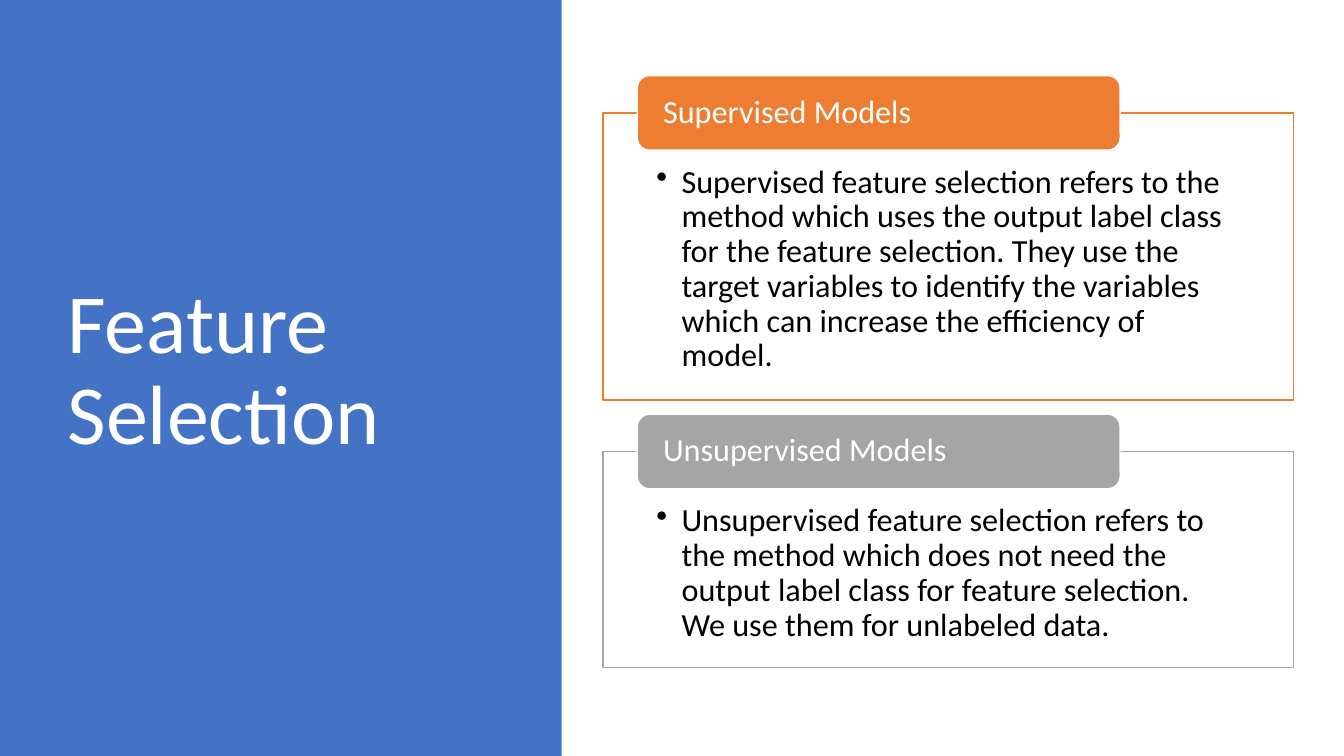
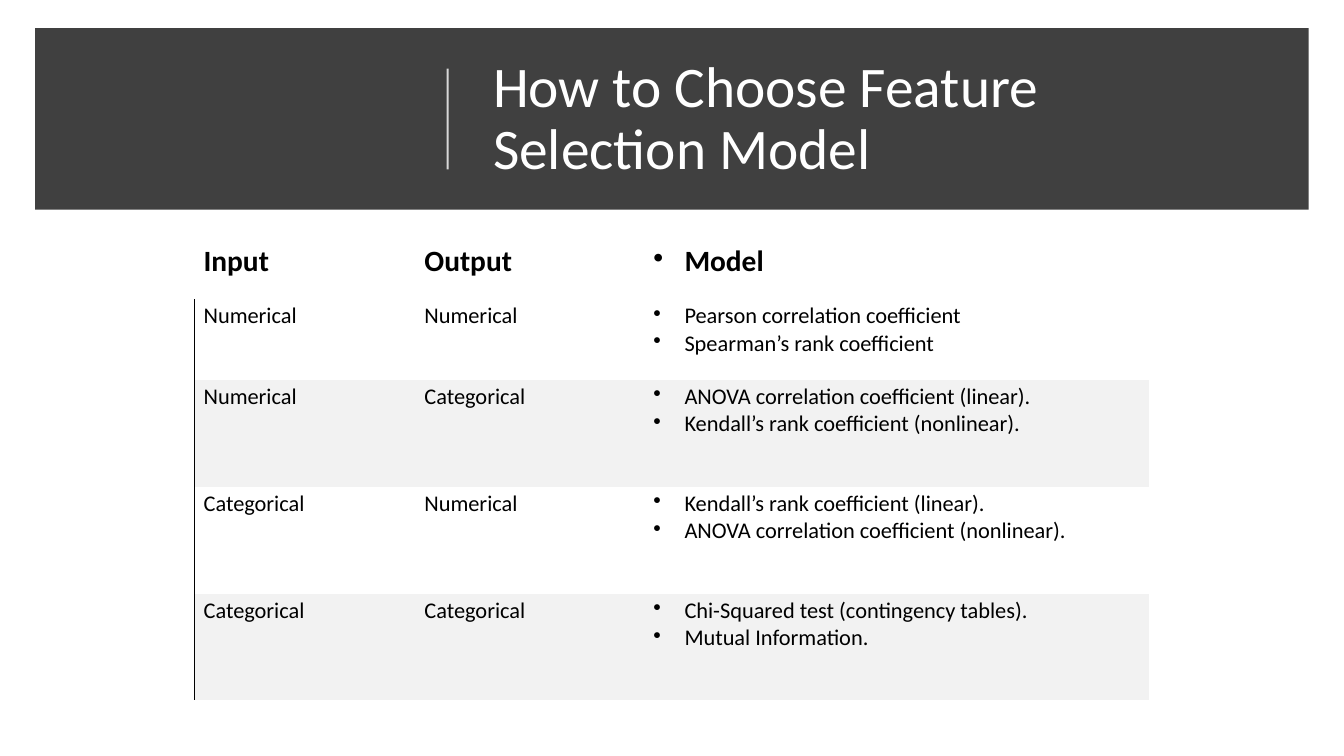
from lxml import etree
from pptx import Presentation
from pptx.dml.color import RGBColor
from pptx.enum.shapes import MSO_CONNECTOR, MSO_SHAPE
from pptx.enum.text import MSO_ANCHOR, MSO_AUTO_SIZE, PP_ALIGN
from pptx.oxml.ns import qn
from pptx.util import Inches, Pt

RECTANGLE, ROUNDED = MSO_SHAPE.RECTANGLE, MSO_SHAPE.ROUNDED_RECTANGLE
STRAIGHT = MSO_CONNECTOR.STRAIGHT
TOP, MIDDLE, BOTTOM = MSO_ANCHOR.TOP, MSO_ANCHOR.MIDDLE, MSO_ANCHOR.BOTTOM
LEFT, NO_AUTOFIT = PP_ALIGN.LEFT, MSO_AUTO_SIZE.NONE

FONT = "Calibri"
TITLE_ONLY = 5
NO_STYLE_TABLE = "{2D5ABB26-0587-4C30-8999-92F81FD0307C}"
WHITE = RGBColor(0xFF, 0xFF, 0xFF)
BLACK = RGBColor(0, 0, 0)
BLUE = RGBColor(0x44, 0x72, 0xC4)
ORANGE = RGBColor(0xED, 0x7D, 0x31)
GREY = RGBColor(0xA5, 0xA5, 0xA5)
CHARCOAL = RGBColor(0x40, 0x40, 0x40)
STRIPE = RGBColor(0xF2, 0xF2, 0xF2)

MODELS = [
    ("Supervised Models", ORANGE, 1.12, 2.85,
     "Supervised feature selection refers to the method which uses the output "
     "label class for the feature selection. They use the target variables to "
     "identify the variables which can increase the efficiency of model."),
    ("Unsupervised Models", GREY, 4.48, 2.14,
     "Unsupervised feature selection refers to the method which does not need "
     "the output label class for feature selection. We use them for unlabeled data."),
]
CHOICES = [
    ("Input", "Output", "Model"),
    ("Numerical", "Numerical",
     "Pearson correlation coefficient\nSpearman’s rank coefficient"),
    ("Numerical", "Categorical",
     "ANOVA correlation coefficient (linear).\nKendall’s rank coefficient (nonlinear)."),
    ("Categorical", "Numerical",
     "Kendall’s rank coefficient (linear).\nANOVA correlation coefficient (nonlinear)."),
    ("Categorical", "Categorical",
     "Chi-Squared test (contingency tables).\nMutual Information."),
]
COLUMN_WIDTHS = (2.19, 2.27, 5.01)
ROW_HEIGHTS = (0.62, 0.8, 1.06, 1.06, 1.06)


class Deck:
    """Holds the presentation style and the slide being built."""

    def __init__(self):
        self.presentation = Presentation()
        self.presentation.slide_width = Inches(13.33)
        self.presentation.slide_height = Inches(7.5)
        self.slide = None

    def new_slide(self, title, title_box, size, band_box, band_color):
        layout = self.presentation.slide_layouts[TITLE_ONLY]
        self.slide = self.presentation.slides.add_slide(layout)
        heading = self.slide.shapes.title
        heading.left, heading.top, heading.width, heading.height = map(Inches, title_box)
        heading.text_frame.auto_size = NO_AUTOFIT
        self.set_text(heading.text_frame, title, size, WHITE, anchor=MIDDLE)
        band = self.box(RECTANGLE, band_box, band_color)
        heading.element.addprevious(band.element)

    def set_text(self, frame, text, size, color, anchor=TOP, bold=False,
                 spacing=0.9, bullet_indent=0):
        frame.word_wrap = True
        frame.vertical_anchor = anchor
        frame.text = text
        for paragraph in frame.paragraphs:
            paragraph.alignment = LEFT
            paragraph.line_spacing = spacing
            font = paragraph.font
            font.name, font.size, font.bold = FONT, Pt(size), bold
            font.color.rgb = color
            if bullet_indent:
                self.bullet(paragraph, bullet_indent)

    def bullet(self, paragraph, indent):
        properties = paragraph._p.get_or_add_pPr()
        properties.set("marL", str(Inches(indent)))
        properties.set("indent", str(-Inches(indent)))
        mark = etree.Element(qn("a:buChar"), char="•")
        properties.find(qn("a:defRPr")).addprevious(mark)

    def box(self, kind, place, fill, line=None):
        shape = self.slide.shapes.add_shape(kind, *map(Inches, place))
        shape.shadow.inherit = False
        shape.fill.solid()
        shape.fill.fore_color.rgb = fill
        if line is None:
            shape.line.fill.background()
        else:
            shape.line.color.rgb = line
            shape.line.width = Pt(1)
        return shape

    def inset(self, holder, left, top, right, bottom):
        holder.margin_left, holder.margin_top = Inches(left), Inches(top)
        holder.margin_right, holder.margin_bottom = Inches(right), Inches(bottom)

    def model_panel(self, label, color, top, height, description):
        panel = self.box(RECTANGLE, (5.98, top, 6.85, height), WHITE, color)
        self.inset(panel.text_frame, 0.53, 0.52, 0.53, 0.18)
        self.set_text(panel.text_frame, description, 23, BLACK, bullet_indent=0.25)
        tab = self.box(ROUNDED, (6.32, top - 0.37, 4.79, 0.74), color, WHITE)
        self.inset(tab.text_frame, 0.22, 0, 0.22, 0)
        self.set_text(tab.text_frame, label, 23, WHITE, anchor=MIDDLE)

    def divider(self, x, top, bottom):
        rule = self.slide.shapes.add_connector(
            STRAIGHT, Inches(x), Inches(bottom), Inches(x), Inches(top))
        rule.line.color.rgb = WHITE
        rule.line.width = Pt(1.5)
        color = rule.element.find(".//" + qn("a:srgbClr"))
        etree.SubElement(color, qn("a:alpha"), val="80000")
        etree.SubElement(rule.element.spPr, qn("a:effectLst"))

    def left_border(self, cell):
        border = etree.Element(qn("a:lnL"), w=str(Pt(0.75)))
        fill = etree.SubElement(border, qn("a:solidFill"))
        etree.SubElement(fill, qn("a:srgbClr"), val=str(BLACK))
        cell._tc.get_or_add_tcPr().insert(0, border)

    def choice_table(self, left, top):
        frame = self.slide.shapes.add_table(
            len(CHOICES), len(COLUMN_WIDTHS), Inches(left), Inches(top),
            Inches(sum(COLUMN_WIDTHS)), Inches(sum(ROW_HEIGHTS)))
        frame.element.find(".//" + qn("a:tableStyleId")).text = NO_STYLE_TABLE
        table = frame.table
        table.first_row = table.horz_banding = False
        for column, width in zip(table.columns, COLUMN_WIDTHS):
            column.width = Inches(width)
        for number, (row, height, texts) in enumerate(zip(table.rows, ROW_HEIGHTS, CHOICES)):
            row.height = Inches(height)
            header = number == 0
            for position, (cell, text) in enumerate(zip(row.cells, texts)):
                self.inset(cell, 0.09, 0.03, 0.13, 0.2)
                self.set_text(cell.text_frame, text, 21 if header else 16, BLACK,
                              bold=header, spacing=1.0,
                              bullet_indent=0.31 if position == 2 else 0)
                cell.vertical_anchor = BOTTOM if header else TOP
                if number and number % 2 == 0:
                    cell.fill.solid()
                    cell.fill.fore_color.rgb = STRIPE
                else:
                    cell.fill.background()
                if position == 0 and not header:
                    self.left_border(cell)


def main():
    deck = Deck()
    deck.new_slide("Feature Selection", (0.57, 0.68, 4.16, 6.02), 60,
                   (0, 0, 5.57, 7.5), BLUE)
    for model in MODELS:
        deck.model_panel(*model)

    deck.new_slide("How to Choose Feature Selection Model", (4.79, 0.5, 7.63, 1.38), 41,
                   (0.35, 0.28, 12.63, 1.8), CHARCOAL)
    deck.divider(4.44, 0.68, 1.68)
    deck.choice_table(1.93, 2.35)
    deck.presentation.save("out.pptx")


if __name__ == "__main__":
    main()
